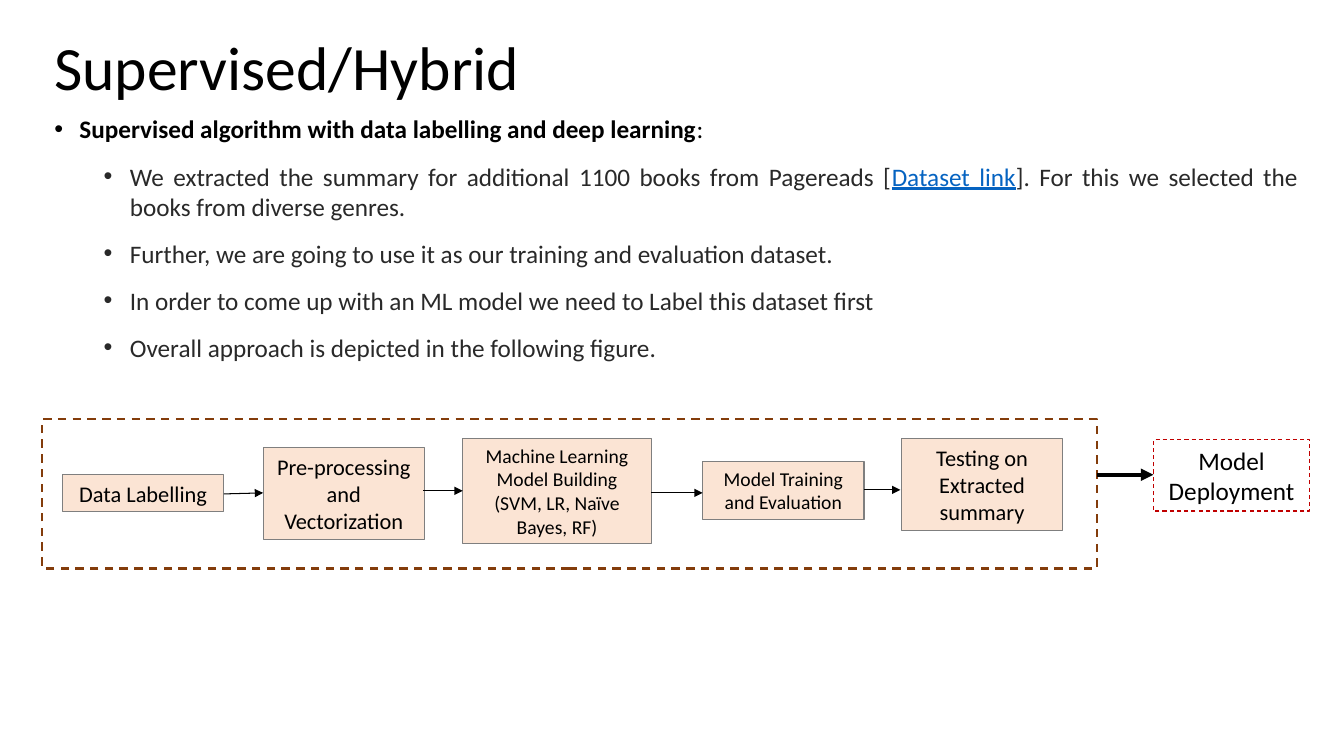
from lxml.etree import SubElement
from pptx import Presentation
from pptx.dml.color import RGBColor
from pptx.enum.dml import MSO_LINE
from pptx.enum.shapes import MSO_CONNECTOR, MSO_SHAPE
from pptx.enum.text import MSO_ANCHOR, PP_ALIGN
from pptx.oxml.ns import qn
from pptx.util import Inches, Pt

COLORS = {
    "black": "000000", "body": "292929", "link": "0563C1",
    "peach": "FBE4D4", "gray": "7F7F7F", "brown": "833C0B", "red": "C00000",
}


def style(run, size, color="black"):
    run.font.name = "Calibri"
    run.font.size = Pt(size)
    run.font.color.rgb = RGBColor.from_string(COLORS[color])


def add_box(place, text, size, line, fill=None, width=0.75):
    """Add a centred box; without a fill it gets a dashed outline."""
    box = slide.shapes.add_shape(MSO_SHAPE.RECTANGLE, *map(Inches, place))
    box.shadow.inherit = False
    box.line.color.rgb = RGBColor.from_string(COLORS[line])
    box.line.width = Pt(width)
    if fill:
        box.fill.solid()
        box.fill.fore_color.rgb = RGBColor.from_string(COLORS[fill])
    else:
        box.fill.background()
        box.line.dash_style = MSO_LINE.DASH
    frame = box.text_frame
    frame.word_wrap = True
    frame.vertical_anchor = MSO_ANCHOR.MIDDLE
    frame.text = text
    for para in frame.paragraphs:
        para.alignment = PP_ALIGN.CENTER
        for run in para.runs:
            style(run, size)


deck = Presentation()
deck.slide_width, deck.slide_height = Inches(13.33), Inches(7.5)
slide = deck.slides.add_slide(deck.slide_layouts[6])

# Title
title = slide.shapes.add_textbox(Inches(0.44), Inches(0.24), Inches(7.17), Inches(0.84))
title.text_frame.word_wrap = True
title.text_frame.text = "Supervised/Hybrid"
style(title.text_frame.paragraphs[0].runs[0], 44)

# Bullets: level and runs
bullets = [
    (0, ["Supervised algorithm with data labelling and deep learning", ":"]),
    (1, ["We extracted the summary for additional 1100 books from Pagereads [",
         "Dataset link",
         "]. For this we selected the books from diverse genres."]),
    (1, ["Further, we are going to use it as our training and evaluation dataset."]),
    (1, ["In order to come up with an ML model we need to Label this dataset first"]),
    (1, ["Overall approach is depicted in the following figure."]),
]
body = slide.shapes.add_textbox(Inches(0.44), Inches(1.08), Inches(12.53), Inches(2.76))
frame = body.text_frame
frame.word_wrap = True
for i, (level, parts) in enumerate(bullets):
    para = frame.add_paragraph() if i else frame.paragraphs[0]
    para.level = level
    para.alignment = PP_ALIGN.JUSTIFY
    para.space_before = Pt(12 * level)
    color = "body" if level else "black"
    props = para._p.get_or_add_pPr()
    props.set("marL", str(Inches(0.75 if level else 0.25)))
    props.set("indent", str(Inches(-0.26 if level else -0.25)))
    tint = SubElement(props, qn("a:buClr"))
    SubElement(tint, qn("a:srgbClr")).set("val", COLORS[color])
    SubElement(props, qn("a:buFont")).set("typeface", "Arial")
    SubElement(props, qn("a:buChar")).set("char", "•")
    for part in parts:
        run = para.add_run()
        run.text = part
        link = part == "Dataset link"
        style(run, 18, "link" if link else color)
        run.font.underline = link
        run.font.bold = level == 0 and part != ":"

# Pipeline steps inside the dashed frame, then deployment
add_box((0.42, 4.16, 10.46, 1.48), "", 16, "brown", width=1.5)
steps = [
    ((0.62, 4.71, 1.6, 0.37), "Data Labelling", 16),
    ((2.61, 4.44, 1.6, 0.91), "Pre-processing and Vectorization", 16),
    ((4.59, 4.35, 1.87, 1.04),
     "Machine Learning Model Building\n(SVM, LR, Naïve Bayes, RF)", 14),
    ((6.97, 4.58, 1.6, 0.57), "Model Training and Evaluation", 14),
    ((8.94, 4.35, 1.6, 0.91), "Testing on Extracted summary", 16),
]
for place, text, size in steps:
    add_box(place, text, size, "gray", "peach")
add_box((11.44, 4.36, 1.55, 0.71), "Model Deployment", 18, "red")

# Arrows: start x, start y, end x, end y, width
arrows = [
    (2.22, 4.9, 2.61, 4.89, 0.75),
    (4.2, 4.87, 4.59, 4.87, 0.75),
    (6.46, 4.89, 6.97, 4.89, 0.75),
    (8.57, 4.86, 8.93, 4.86, 0.75),
    (10.88, 4.71, 11.44, 4.71, 3),
]
for *ends, width in arrows:
    arrow = slide.shapes.add_connector(MSO_CONNECTOR.STRAIGHT, *map(Inches, ends))
    arrow.line.color.rgb = RGBColor.from_string(COLORS["black"])
    arrow.line.width = Pt(width)
    SubElement(arrow.line._get_or_add_ln(), qn("a:tailEnd")).set("type", "triangle")
    SubElement(arrow._element.spPr, qn("a:effectLst"))

deck.save("out.pptx")
